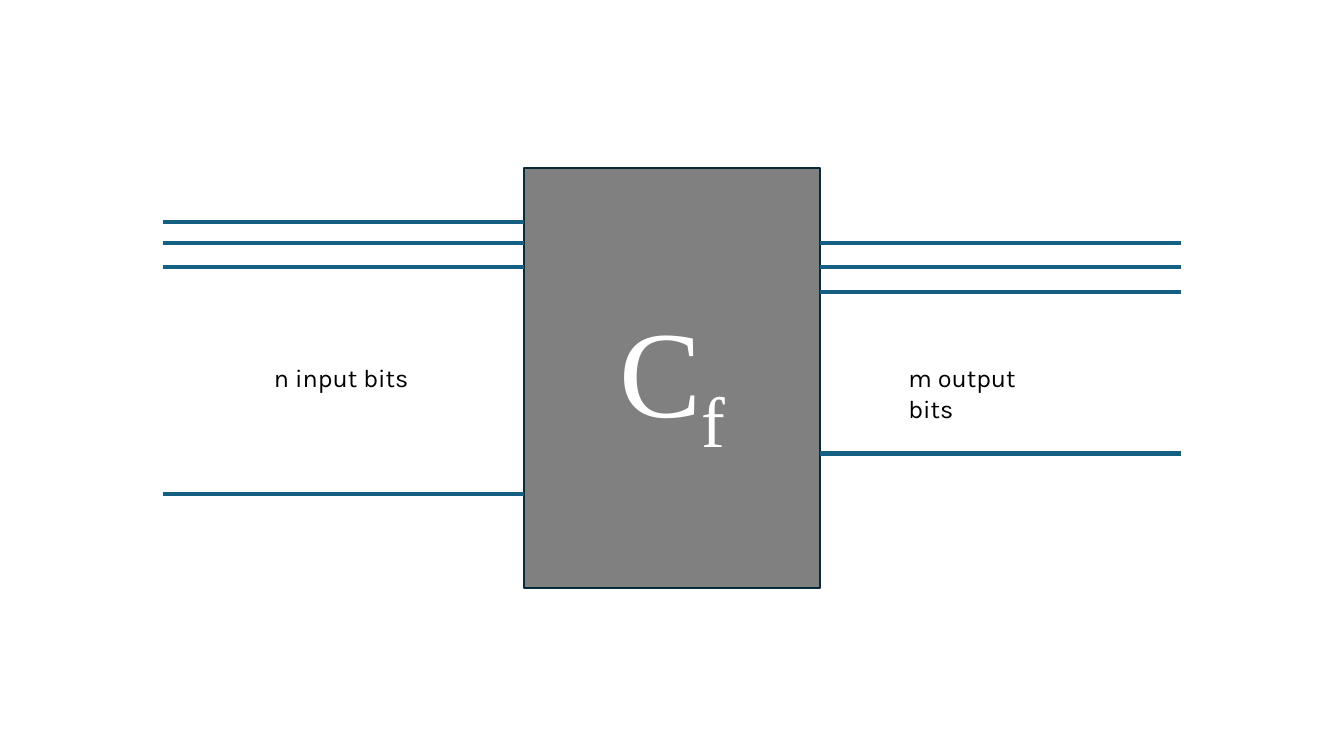
from dataclasses import dataclass

from lxml import etree
from pptx import Presentation
from pptx.dml.color import RGBColor
from pptx.enum.shapes import MSO_CONNECTOR, MSO_SHAPE
from pptx.enum.text import MSO_ANCHOR, MSO_AUTO_SIZE, PP_ALIGN
from pptx.oxml.ns import qn
from pptx.shapes.shapetree import GroupShapes
from pptx.text.text import _Run
from pptx.util import Inches, Pt

RECTANGLE = MSO_SHAPE.RECTANGLE
STRAIGHT = MSO_CONNECTOR.STRAIGHT
MIDDLE = MSO_ANCHOR.MIDDLE
CENTER = PP_ALIGN.CENTER
GROW = MSO_AUTO_SIZE.SHAPE_TO_FIT_TEXT

PAGE_WIDTH, PAGE_HEIGHT = 13.33, 7.5
COLORS = {
    "gate": "808080",
    "gate_edge": "092A39",
    "wire": "156082",
    "gate_text": "FFFFFF",
    "label": "000000",
}

# All positions and sizes are percentages of the slide's width or height
GATE_LEFT, GATE_TOP, GATE_WIDTH, GATE_HEIGHT = 39, 22.27, 22, 55.47
WIRE_LENGTH = 26.85
LABEL_TOP, LABEL_HEIGHT = 47.33, 5.33


@dataclass(frozen=True)
class WireBundle:
    start: float
    rows: tuple[float, ...]
    label: str
    label_left: float
    label_width: float


BUNDLES = (
    WireBundle(GATE_LEFT - WIRE_LENGTH, (29.33, 32.13, 35.33, 65.33),
               "n input bits", 19.65, 11.78),
    WireBundle(GATE_LEFT + GATE_WIDTH, (32.13, 35.33, 38.67, 60),
               "m output bits", 66.84, 12.45),
)


def across(share: float) -> int:
    return Inches(PAGE_WIDTH * share / 100)


def down(share: float) -> int:
    return Inches(PAGE_HEIGHT * share / 100)


def color(name: str) -> RGBColor:
    return RGBColor.from_string(COLORS[name])


def format_span(span: _Run, font: str, size: float, color_name: str) -> None:
    span.font.name = font
    span.font.size = Pt(size)
    span.font.color.rgb = color(color_name)


def draw_gate(shapes: GroupShapes) -> None:
    box = shapes.add_shape(RECTANGLE, across(GATE_LEFT), down(GATE_TOP),
                           across(GATE_WIDTH), down(GATE_HEIGHT))
    box.shadow.inherit = False
    box.fill.solid()
    box.fill.fore_color.rgb = color("gate")
    box.line.color.rgb = color("gate_edge")
    box.line.width = Pt(1.5)
    box.text_frame.vertical_anchor = MIDDLE
    para = box.text_frame.paragraphs[0]
    para.alignment = CENTER
    for letter in "Cf":
        span = para.add_run()
        span.text = letter
        format_span(span, "Times New Roman", 88, "gate_text")
    # The last letter is a subscript
    span.font._element.set("baseline", "-25000")


def draw_wire(shapes: GroupShapes, start: float, row: float) -> None:
    wire = shapes.add_connector(STRAIGHT, across(start), down(row),
                                across(start + WIRE_LENGTH), down(row))
    wire.line.color.rgb = color("wire")
    wire.line.width = Pt(3)
    etree.SubElement(wire._element.spPr, qn("a:effectLst"))


def draw_label(shapes: GroupShapes, bundle: WireBundle) -> None:
    box = shapes.add_textbox(across(bundle.label_left), down(LABEL_TOP),
                             across(bundle.label_width), down(LABEL_HEIGHT))
    frame = box.text_frame
    frame.word_wrap = True
    frame.auto_size = GROW
    frame.text = bundle.label
    format_span(frame.paragraphs[0].runs[0], "Karla", 18, "label")


def main() -> None:
    deck = Presentation()
    deck.slide_width = Inches(PAGE_WIDTH)
    deck.slide_height = Inches(PAGE_HEIGHT)
    page = deck.slides.add_slide(deck.slide_layouts[6])
    circuit = page.shapes.add_group_shape().shapes

    # Gate in the middle
    draw_gate(circuit)

    # Input wires on the left, output wires on the right
    for bundle in BUNDLES:
        for row in bundle.rows:
            draw_wire(circuit, bundle.start, row)

    # Labels between the wires
    for bundle in BUNDLES:
        draw_label(circuit, bundle)

    deck.save("out.pptx")


if __name__ == "__main__":
    main()
